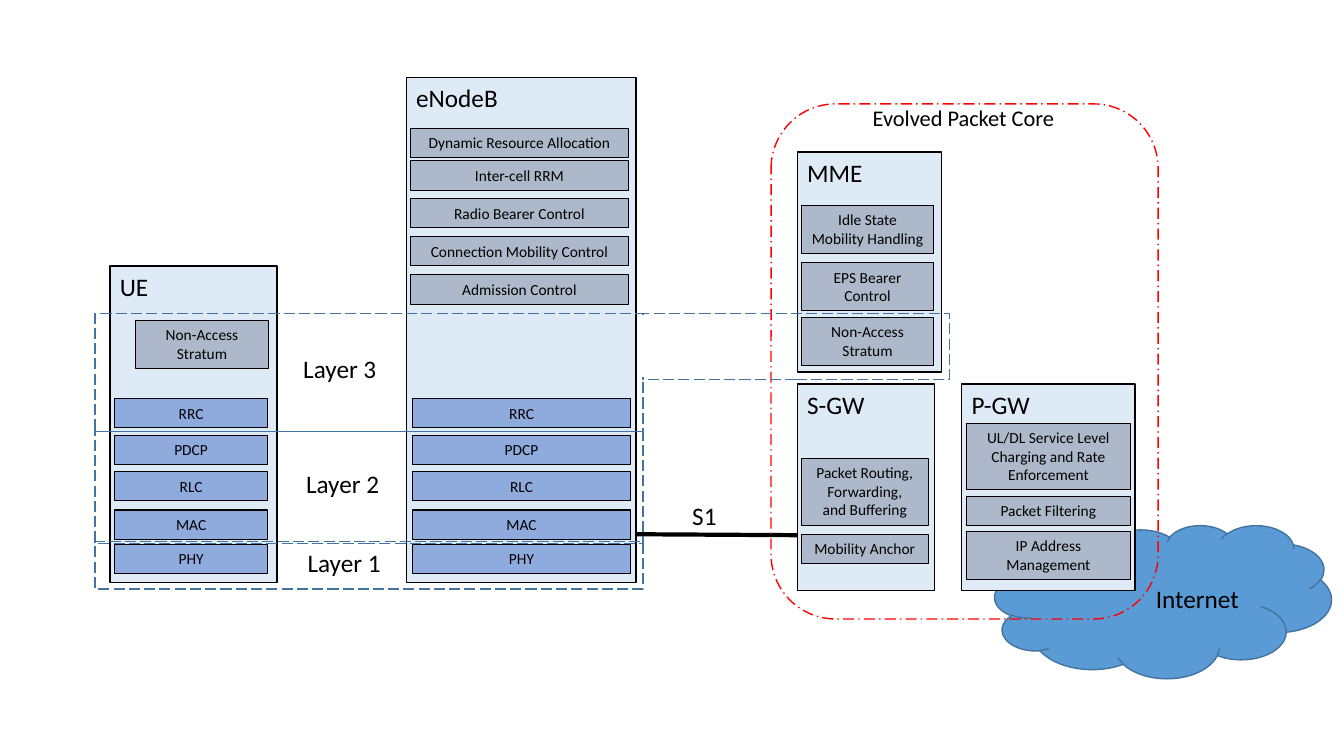
import pptx
import pptx.dml.color
import pptx.enum.dml
import pptx.enum.shapes
import pptx.enum.text
import pptx.oxml.ns
import pptx.util
from lxml import etree

Pt = pptx.util.Pt
RGBColor = pptx.dml.color.RGBColor
SHAPE = pptx.enum.shapes.MSO_SHAPE
DASH = pptx.enum.dml.MSO_LINE
ALIGN = pptx.enum.text.PP_ALIGN
ANCHOR = pptx.enum.text.MSO_ANCHOR
FIT = pptx.enum.text.MSO_AUTO_SIZE

BLACK = RGBColor(0x00, 0x00, 0x00)
WHITE = RGBColor(0xFF, 0xFF, 0xFF)
RED = RGBColor(0xFF, 0x00, 0x00)
CLOUD_BLUE = RGBColor(0x5B, 0x9B, 0xD5)
EDGE_BLUE = RGBColor(0x43, 0x73, 0x9E)
NODE_BLUE = RGBColor(0xDE, 0xEB, 0xF7)
FUNCTION_GREY = RGBColor(0xAD, 0xB9, 0xCA)
PROTOCOL_BLUE = RGBColor(0x8F, 0xAA, 0xDC)


class Diagram:
    font_name = "Calibri"
    title_size = 18
    function_size = 11
    line_height = 13.4
    box_padding = 7.4

    def __init__(self, slide):
        self.slide = slide

    def set_text(self, text_frame, text, size, alignment=ALIGN.LEFT):
        text_frame.text = text
        for paragraph in text_frame.paragraphs:
            paragraph.alignment = alignment
            for run in paragraph.runs:
                run.font.name = self.font_name
                run.font.size = Pt(size)
                run.font.color.rgb = BLACK

    def shape(self, kind, left, top, width, height, fill, edge, weight=1, dash=None):
        shape = self.slide.shapes.add_shape(
            kind, Pt(left), Pt(top), Pt(width), Pt(height))
        shape.shadow.inherit = False
        if fill is None:
            shape.fill.background()
        else:
            shape.fill.solid()
            shape.fill.fore_color.rgb = fill
        shape.line.color.rgb = edge
        shape.line.width = Pt(weight)
        if dash is not None:
            shape.line.dash_style = dash
        shape.text_frame.word_wrap = True
        return shape

    def cloud(self, text, left, top, width, height, text_inset):
        shape = self.shape(SHAPE.CLOUD, left, top, width, height, CLOUD_BLUE, EDGE_BLUE)
        shape.text_frame.margin_left = Pt(text_inset)
        shape.text_frame.vertical_anchor = ANCHOR.MIDDLE
        self.set_text(shape.text_frame, text, self.title_size, ALIGN.CENTER)

    def node(self, title, left, top, width, height):
        shape = self.shape(SHAPE.RECTANGLE, left, top, width, height, NODE_BLUE, BLACK)
        shape.text_frame.vertical_anchor = ANCHOR.TOP
        self.set_text(shape.text_frame, title, self.title_size)

    def function(self, text, left, top, width, lines=1, fill=FUNCTION_GREY):
        height = self.box_padding + self.line_height * lines
        shape = self.shape(SHAPE.RECTANGLE, left, top, width, height, fill, BLACK, 0.75)
        shape.text_frame.vertical_anchor = ANCHOR.TOP
        shape.text_frame.auto_size = FIT.SHAPE_TO_FIT_TEXT
        self.set_text(shape.text_frame, text, self.function_size, ALIGN.CENTER)

    def label(self, text, left, top, width, height=29, size=title_size):
        box = self.slide.shapes.add_textbox(Pt(left), Pt(top), Pt(width), Pt(height))
        box.text_frame.word_wrap = False
        box.text_frame.auto_size = FIT.SHAPE_TO_FIT_TEXT
        self.set_text(box.text_frame, text, size)

    def region(self, left, top, width, height):
        self.shape(SHAPE.RECTANGLE, left, top, width, height, None, EDGE_BLUE,
                   dash=DASH.LONG_DASH)

    def link(self, start_x, start_y, end_x, end_y):
        connector = self.slide.shapes.add_connector(
            pptx.enum.shapes.MSO_CONNECTOR.STRAIGHT,
            Pt(start_x), Pt(start_y), Pt(end_x), Pt(end_y))
        connector.line.color.rgb = BLACK
        connector.line.width = Pt(3)
        properties = connector._element.spPr
        etree.SubElement(properties, pptx.oxml.ns.qn("a:effectLst"))


def main():
    presentation = pptx.Presentation()
    presentation.slide_width = Pt(960)
    presentation.slide_height = Pt(540)
    diagram = Diagram(presentation.slides.add_slide(presentation.slide_layouts[6]))

    # Network nodes in front of the internet cloud
    diagram.cloud("Internet", 710.6, 375.1, 240.5, 109.4, text_inset=73)
    diagram.node("eNodeB", 290.2, 55.4, 164.2, 360.7)
    diagram.node("MME", 569.5, 108.7, 103, 157)
    diagram.node("S-GW", 569.5, 274.3, 97.9, 147.6)
    diagram.node("P-GW", 686.9, 274.3, 123.8, 147.6)
    diagram.node("UE", 78.5, 190.1, 119.5, 226.1)

    # S1 interface
    diagram.link(454.4, 381.6, 569.5, 382.3)
    diagram.label("S1", 487.4, 353.5, 36)

    # Functions inside each node: left, width, then text, top and line count
    node_functions = [
        (293, 156.2, [("Dynamic Resource Allocation", 91.6, 1),
                      ("Inter-cell RRM", 115, 1),
                      ("Radio Bearer Control", 142, 1),
                      ("Connection Mobility Control", 169.2, 1),
                      ("Admission Control", 196.4, 1)]),
        (572.4, 94.6, [("Idle State Mobility Handling", 146.8, 2),
                       ("EPS Bearer Control", 187.8, 2),
                       ("Non-Access Stratum", 226.8, 2)]),
        (572.4, 90.7, [("Packet Routing,\nForwarding,\nand Buffering", 327.6, 3),
                       ("Mobility Anchor", 381.6, 1)]),
        (690.4, 117, [("UL/DL Service Level Charging and Rate Enforcement", 302.4, 3),
                      ("Packet Filtering", 354.4, 1),
                      ("IP Address\nManagement", 379.5, 2)]),
        (97, 94.6, [("Non-Access Stratum", 229, 2)]),
    ]
    for left, width, functions in node_functions:
        for text, top, lines in functions:
            diagram.function(text, left, top, width, lines)

    # Matching protocol stacks of UE and eNodeB
    protocols = [("RRC", 284.8), ("PDCP", 311), ("RLC", 337),
                 ("MAC", 364.3), ("PHY", 388.8)]
    for left, width in [(82.1, 108.9), (294.5, 156.2)]:
        for protocol, top in protocols:
            diagram.function(protocol, left, top, width, fill=PROTOCOL_BLUE)

    # Evolved Packet Core boundary
    diagram.shape(SHAPE.ROUNDED_RECTANGLE, 550.8, 74.2, 276.5, 367.9, None, RED,
                  dash=DASH.LONG_DASH_DOT)
    diagram.label("Evolved Packet Core", 616.3, 70.6, 146.2, 26.6, size=16)

    # Layer regions and their labels
    region_left, region_width = 67.9, 391.5
    for top, height in [(386.8, 34), (308.3, 80), (224.1, 84.2)]:
        diagram.region(region_left, top, region_width, height)
    for number, left, top in [(1, 212.6, 387.4), (2, 211.5, 331.2), (3, 209.5, 249.1)]:
        diagram.label(f"Layer {number}", left, top, 71)

    # Layer 3 extension to the MME, opened towards the eNodeB
    diagram.region(region_left + region_width, 224.1, 218.9, 46.8)
    diagram.shape(SHAPE.RECTANGLE, 457.9, 225.6, 79.2, 43.2, WHITE, WHITE)

    presentation.save("out.pptx")


if __name__ == "__main__":
    main()
